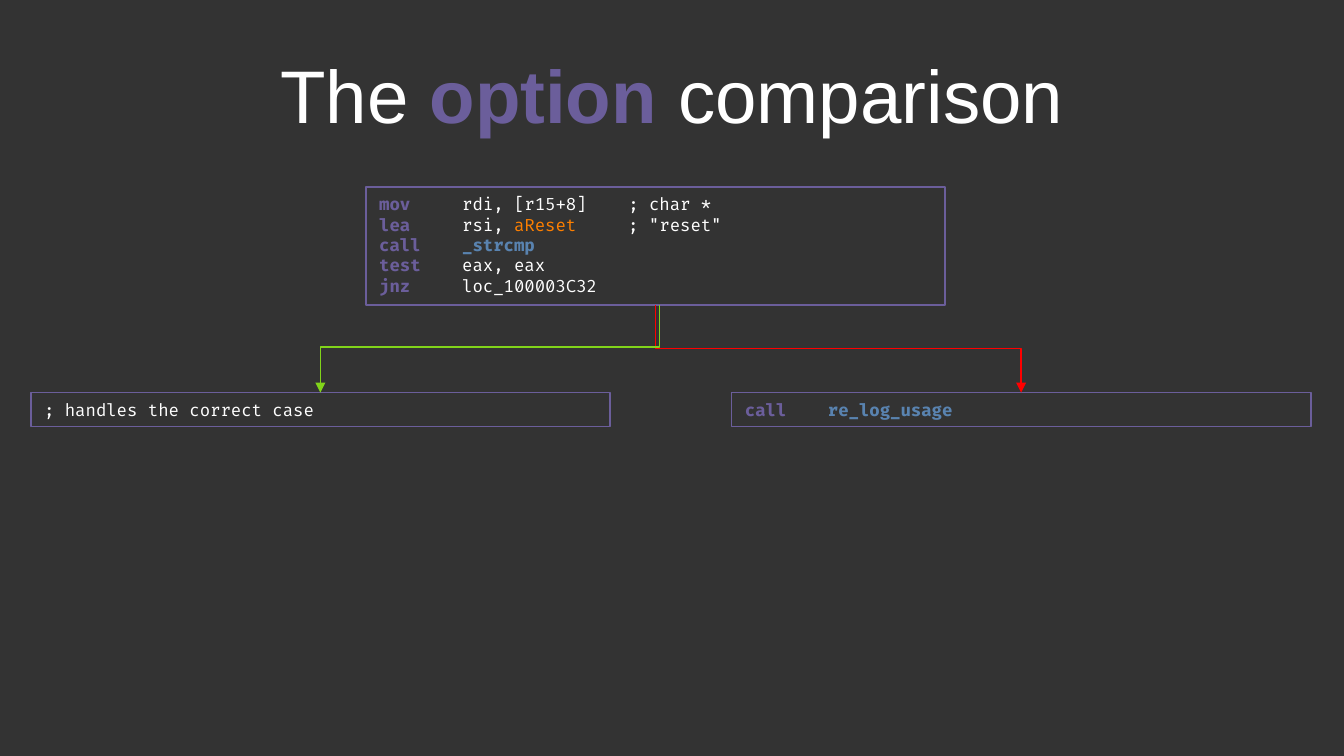
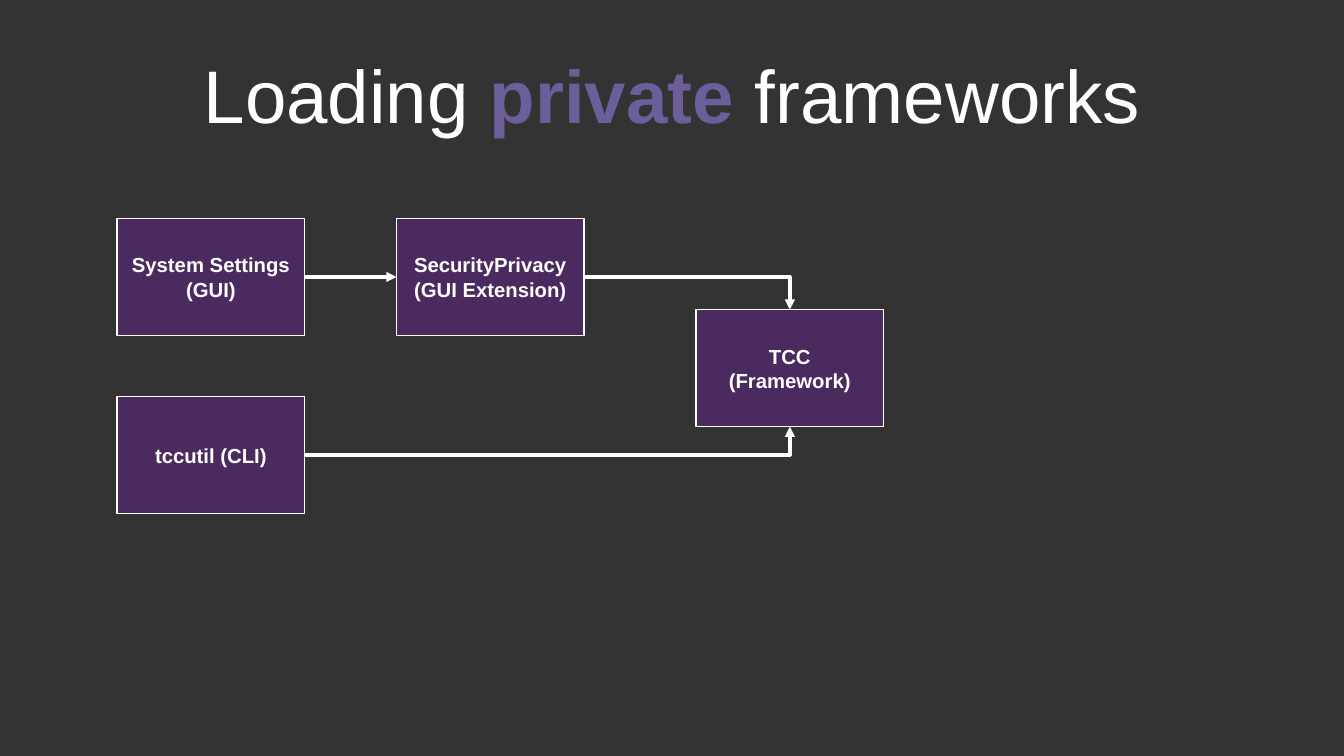
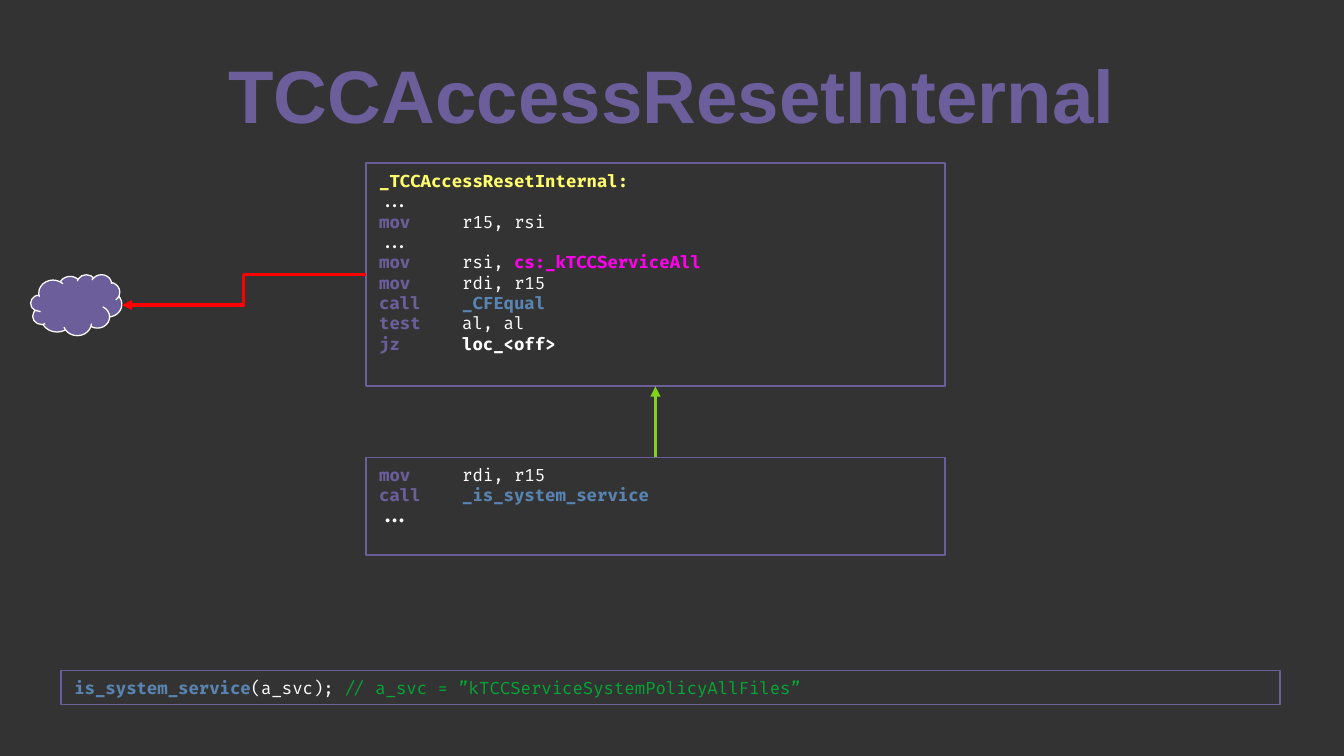
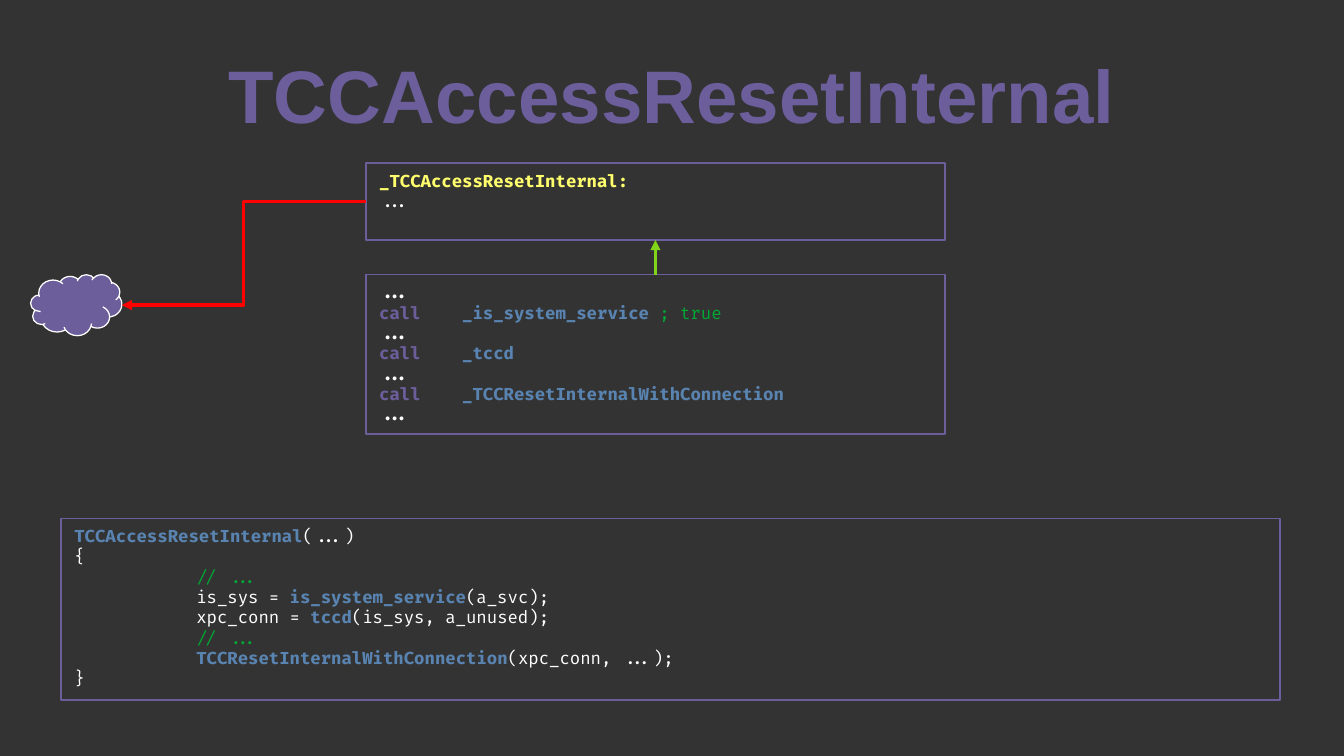
"""Builds four dark slides that trace how a privacy reset tool works."""
import dataclasses

import lxml.etree
import pptx
import pptx.dml.color
import pptx.enum.shapes
import pptx.enum.text
import pptx.oxml.ns
import pptx.util

Cm = pptx.util.Cm
qn = pptx.oxml.ns.qn
Shape = pptx.enum.shapes.MSO_SHAPE
Connector = pptx.enum.shapes.MSO_CONNECTOR
Align = pptx.enum.text.PP_ALIGN
Anchor = pptx.enum.text.MSO_ANCHOR


@dataclasses.dataclass(frozen=True)
class Theme:
    background: str = "333333"
    white: str = "FFFFFF"
    purple: str = "6B5E9B"
    node: str = "5B277D"
    blue: str = "5983B0"
    orange: str = "FF8000"
    yellow: str = "FFFF6D"
    magenta: str = "FF00EC"
    comment: str = "00A933"
    red: str = "FF0000"
    green: str = "81D41A"
    title_size: int = 44
    node_size: int = 12
    code_size: int = 10
    font: str = "Arial"
    code_font: str = "Fira Code"


THEME = Theme()
PLAIN = (THEME.white, False)
STRONG = (THEME.white, True)
KEYWORD = (THEME.purple, True)
CALL = (THEME.blue, True)
DATA = (THEME.orange, False)
LABEL = (THEME.yellow, True)
SYMBOL = (THEME.magenta, True)
COMMENT = (THEME.comment, False)

COLUMN_LEFT, COLUMN_WIDTH = 7.62, 12.07
WIDE_LEFT, WIDE_WIDTH = 1.27, 25.4
TAB_WIDTH = 2.54


def rgb(colour):
    return pptx.dml.color.RGBColor.from_string(colour)


def instruction(mnemonic, *operands):
    return [(f"{mnemonic:<8}", KEYWORD), *operands]


def spot(box, across, down):
    return round(box.left + box.width * across), round(box.top + box.height * down)


class Deck:
    def __init__(self):
        self.deck = pptx.Presentation()
        self.deck.slide_width, self.deck.slide_height = Cm(28), Cm(15.75)
        fill = self.deck.slide_master.background.fill
        fill.solid()
        fill.fore_color.rgb = rgb(THEME.background)
        self.page = None

    def add_page(self, *title):
        self.page = self.deck.slides.add_slide(self.deck.slide_layouts[5])
        box = self.page.shapes.title
        box.left, box.top, box.width, box.height = Cm(1.4), Cm(0.63), Cm(25.2), Cm(2.64)
        self.frame(box, Anchor.MIDDLE, 0, 0)
        para = box.text_frame.paragraphs[0]
        para.alignment = Align.CENTER
        self.spans(para, title, THEME.font, THEME.title_size)

    def frame(self, box, anchor, side, end):
        frame = box.text_frame
        frame.word_wrap = True
        frame.auto_size = pptx.enum.text.MSO_AUTO_SIZE.NONE
        frame.vertical_anchor = anchor
        frame.margin_left = frame.margin_right = Cm(side)
        frame.margin_top = frame.margin_bottom = Cm(end)

    def spans(self, para, pieces, font, size):
        for text, (colour, bold) in pieces:
            span = para.add_run()
            span.text = text
            span.font.name = font
            span.font.size = pptx.util.Pt(size)
            span.font.bold = bold
            span.font.color.rgb = rgb(colour)

    def shape(self, kind, left, top, width, height, fill, line, weight):
        box = self.page.shapes.add_shape(kind, Cm(left), Cm(top), Cm(width), Cm(height))
        box.shadow.inherit = False
        if fill:
            box.fill.solid()
            box.fill.fore_color.rgb = rgb(fill)
        else:
            box.fill.background()
        box.line.color.rgb = rgb(line)
        box.line.width = pptx.util.Pt(weight)
        return box

    def code(self, left, top, width, height, lines):
        box = self.shape(Shape.RECTANGLE, left, top, width, height, None, THEME.purple, 1)
        self.frame(box, Anchor.TOP, 0.28, 0.15)
        frame = box.text_frame
        for index, line in enumerate(lines):
            para = frame.add_paragraph() if index else frame.paragraphs[0]
            para.alignment = Align.LEFT
            if line[0][0].startswith("\t"):
                stops = lxml.etree.SubElement(para._p.get_or_add_pPr(), qn("a:tabLst"))
                lxml.etree.SubElement(stops, qn("a:tab"), pos=str(Cm(TAB_WIDTH)), algn="l")
            self.spans(para, line, THEME.code_font, THEME.code_size)
        return box

    def node(self, left, top, text):
        box = self.shape(Shape.RECTANGLE, left, top, 3.91, 2.44, THEME.node, THEME.white, 0)
        colour = box.fill._xPr.find(qn("a:solidFill"))[0]
        lxml.etree.SubElement(colour, qn("a:alpha"), val="60000")
        self.frame(box, Anchor.MIDDLE, 0.25, 0.13)
        para = box.text_frame.paragraphs[0]
        para.alignment = Align.CENTER
        self.spans(para, [(text, STRONG)], THEME.font, THEME.node_size)
        return box

    def cloud(self):
        return self.shape(Shape.CLOUD, 0.64, 5.72, 1.9, 1.27, THEME.purple, THEME.white, 0)

    def arrow(self, start, end, colour, kind=Connector.STRAIGHT, weight=0):
        line = self.page.shapes.add_connector(kind, *start, *end)
        line.line.color.rgb = rgb(colour)
        line.line.width = pptx.util.Pt(weight)
        lxml.etree.SubElement(line.line._get_or_add_ln(), qn("a:tailEnd"), type="triangle")
        lxml.etree.SubElement(line._element.spPr, qn("a:effectLst"))
        return line

    def corner(self, start, end, colour):
        line = self.arrow(start, end, colour, Connector.ELBOW)
        line._element.spPr.find(qn("a:prstGeom")).set("prst", "bentConnector2")

    def branch(self, start, end, colour, bend):
        line = self.arrow(start, end, colour, Connector.ELBOW, 0.79)
        across, down = abs(end[0] - start[0]), end[1] - start[1]
        line.left = (start[0] + end[0] - down) // 2
        line.top = (start[1] + end[1] - across) // 2
        line.width, line.height = down, across
        properties = line._element.spPr
        turn = properties.find(qn("a:xfrm"))
        turn.attrib.pop("flipH", None)
        rightward = end[0] > start[0]
        turn.set("rot", str((270 if rightward else 90) * 60000))
        if rightward:
            turn.set("flipH", "1")
        guides = properties.find(qn("a:prstGeom")).get_or_add_avLst()
        lxml.etree.SubElement(guides, qn("a:gd"), name="adj1", fmla=f"val {round(bend * 100000)}")


def option_comparison(deck):
    deck.add_page(("The ", PLAIN), ("option ", KEYWORD), ("comparison", PLAIN))
    compare = deck.code(COLUMN_LEFT, 3.89, COLUMN_WIDTH, 2.46, [
        instruction("mov", ("rdi, [r15+8]    ; char *", PLAIN)),
        instruction("lea", ("rsi, ", PLAIN), ("aReset", DATA), ('     ; "reset"', PLAIN)),
        instruction("call", ("_strcmp", CALL)),
        instruction("test", ("eax, eax", PLAIN)),
        instruction("jnz", ("loc_100003C32", PLAIN)),
    ])
    usage = deck.code(15.24, 8.18, COLUMN_WIDTH, 0.71,
                      [instruction("call", ("re_log_usage", CALL))])
    deck.branch(spot(compare, 0.5, 1), spot(usage, 0.5, 0), THEME.red, 0.5)
    correct = deck.code(0.64, 8.18, COLUMN_WIDTH, 0.71,
                        [[("; handles the correct case", PLAIN)]])
    deck.branch(spot(compare, 0.507, 1), spot(correct, 0.5, 0), THEME.green, 0.48)


def private_frameworks(deck):
    deck.add_page(("Loading ", PLAIN), ("private ", KEYWORD), ("frameworks", PLAIN))
    settings = deck.node(2.44, 4.55, "System Settings (GUI)")
    utility = deck.node(2.44, 8.26, "tccutil (CLI)")
    extension = deck.node(8.26, 4.55, "SecurityPrivacy (GUI Extension)")
    framework = deck.node(14.5, 6.45, "TCC (Framework)")
    deck.corner(spot(utility, 1, 0.5), spot(framework, 0.5, 1), THEME.white)
    deck.corner(spot(extension, 1, 0.5), spot(framework, 0.5, 0), THEME.white)
    deck.arrow(spot(settings, 1, 0.5), spot(extension, 0, 0.5), THEME.white)


def reset_page(deck, entry_height, entry_lines, body_top, body_height, body_lines):
    deck.add_page(("TCCAccessResetInternal", KEYWORD))
    entry = deck.code(COLUMN_LEFT, 3.4, COLUMN_WIDTH, entry_height,
                      [[("_TCCAccessResetInternal:", LABEL)], [("...", PLAIN)], *entry_lines])
    body = deck.code(COLUMN_LEFT, body_top, COLUMN_WIDTH, body_height, body_lines)
    deck.arrow(spot(body, 0.5, 0), spot(entry, 0.5, 1), THEME.green)
    cloud = deck.cloud()
    deck.arrow(spot(entry, 0, 0.5), spot(cloud, 1, 0.5), THEME.red, Connector.ELBOW)


def service_check(deck):
    reset_page(deck, 4.65, [
        instruction("mov", ("r15, rsi", PLAIN)),
        [("...", PLAIN)],
        instruction("mov", ("rsi, ", PLAIN), ("cs:_kTCCServiceAll", SYMBOL)),
        instruction("mov", ("rdi, r15", PLAIN)),
        instruction("call", ("_CFEqual", CALL)),
        instruction("test", ("al, al", PLAIN)),
        instruction("jz", ("loc_<off>", STRONG)),
    ], 9.53, 2.03, [
        instruction("mov", ("rdi, r15", PLAIN)),
        instruction("call", ("_is_system_service", CALL)),
        [("...", STRONG)],
    ])
    deck.code(WIDE_LEFT, 13.97, WIDE_WIDTH, 0.71, [[
        ("is_system_service", CALL), ("(a_svc); ", PLAIN),
        ("// a_svc = ”kTCCServiceSystemPolicyAllFiles”", COMMENT),
    ]])


def reset_connection(deck):
    gap = [("...", STRONG)]
    reset_page(deck, 1.6, [], 5.72, 3.33, [
        gap,
        instruction("call", ("_is_system_service ", CALL), ("; true", COMMENT)),
        gap,
        instruction("call", ("_tccd", CALL)),
        gap,
        instruction("call", ("_TCCResetInternalWithConnection", CALL)),
        gap,
    ])
    skipped = [("\t// ...", COMMENT)]
    deck.code(WIDE_LEFT, 10.8, WIDE_WIDTH, 3.78, [
        [("TCCAccessResetInternal", CALL), ("(...)", PLAIN)],
        [("{", PLAIN)],
        skipped,
        [("\tis_sys = ", PLAIN), ("is_system_service", CALL), ("(a_svc);", PLAIN)],
        [("\txpc_conn = ", PLAIN), ("tccd", CALL), ("(is_sys, a_unused);", PLAIN)],
        skipped,
        [("\tTCCResetInternalWithConnection", CALL), ("(xpc_conn, ...);", PLAIN)],
        [("}", PLAIN)],
    ])


def main():
    deck = Deck()
    for build in (option_comparison, private_frameworks, service_check, reset_connection):
        build(deck)
    deck.deck.save("out.pptx")


if __name__ == "__main__":
    main()
